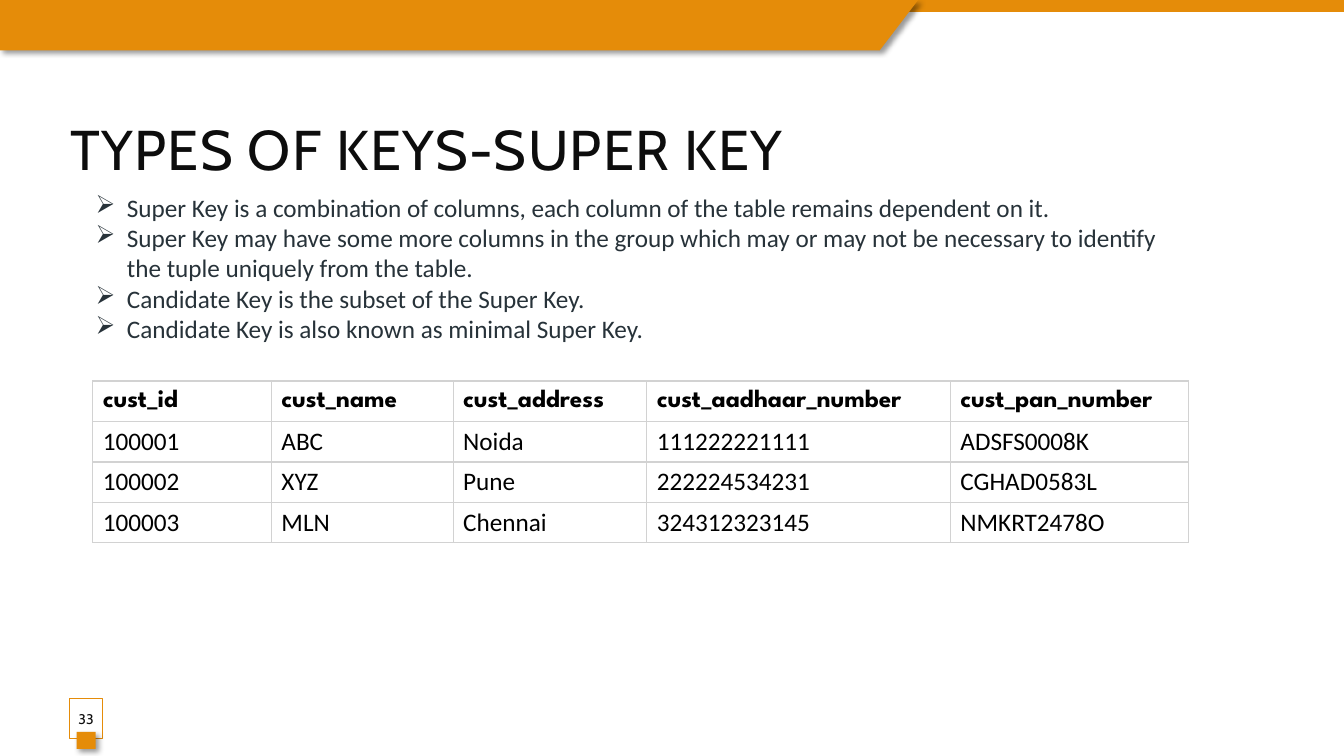
from pptx import Presentation
from pptx.dml.color import RGBColor
from pptx.enum.shapes import MSO_SHAPE as Preset
from pptx.enum.text import MSO_ANCHOR as Anchor, PP_ALIGN as Align
from pptx.oxml import parse_xml
from pptx.oxml.ns import nsdecls
from pptx.util import Cm, Pt

HEADING = "TYPES OF KEYS-SUPER KEY"
PAGE_NUMBER = "33"
POINTS = [
    "Super Key is a combination of columns, each column of the table remains dependent on it.",
    "Super Key may have some more columns in the group which may or may not be necessary to identify "
    "the tuple uniquely from the table.",
    "Candidate Key is the subset of the Super Key.",
    "Candidate Key is also known as minimal Super Key.",
]
CUSTOMERS = [
    ("cust_id", "cust_name", "cust_address", "cust_aadhaar_number", "cust_pan_number"),
    ("100001", "ABC", "Noida", "111222221111", "ADSFS0008K"),
    ("100002", "XYZ", "Pune", "222224534231", "CGHAD0583L"),
    ("100003", "MLN", "Chennai", "324312323145", "NMKRT2478O"),
]
COLUMN_WIDTHS = (4.5, 4.58, 4.88, 7.65, 6)
ROW_HEIGHT = 1.02
BANNER = [(0, 0), (23.14, 0), (22.17, 1.27), (0, 1.27)]

ORANGE = RGBColor(0xE5, 0x8C, 0x09)
WHITE = RGBColor(0xFF, 0xFF, 0xFF)
BLACK = RGBColor(0, 0, 0)
INK = RGBColor(0x0D, 0x0D, 0x0D)
SLATE = RGBColor(0x27, 0x32, 0x39)
GRID = RGBColor(0xD2, 0xD2, 0xD2)

HEADING_FONT = {"name": "Cabin", "size": Pt(40), "color": INK}
NUMBER_FONT = {"name": "Cabin", "size": Pt(10), "color": INK}
POINT_FONT = {"name": "Calibri", "size": Pt(18), "color": SLATE}
HEADER_FONT = {"name": "League Spartan", "size": Pt(18), "color": BLACK, "bold": True}
VALUE_FONT = {"name": "Calibri", "size": Pt(18), "color": BLACK, "bold": False}


def write(paragraph, text, font_format):
    run = paragraph.add_run()
    run.text = text
    for key, value in font_format.items():
        if key == "color":
            run.font.color.rgb = value
        else:
            setattr(run.font, key, value)
    return run


def paint(shape, color):
    shape.shadow.inherit = False
    shape.fill.solid()
    shape.fill.fore_color.rgb = color
    shape.line.fill.background()
    return shape


def cast_shadow(shape):
    shape.shadow.inherit = False
    shape._element.spPr.find("{*}effectLst").append(parse_xml(
        f'<a:outerShdw {nsdecls("a")} blurRad="{Pt(4)}" dist="{Pt(3)}" dir="2700000" '
        'algn="tl" rotWithShape="0"><a:srgbClr val="000000"><a:alpha val="40000"/>'
        '</a:srgbClr></a:outerShdw>'))


def add_bullet(paragraph):
    properties = paragraph._p.get_or_add_pPr()
    properties.set("marL", str(Cm(0.79)))
    properties.set("indent", str(-Cm(0.79)))
    properties.append(parse_xml(f'<a:buChar {nsdecls("a")} char="➢"/>'))


def add_borders(cell):
    properties = cell._tc.get_or_add_tcPr()
    for side in ("lnL", "lnR", "lnT", "lnB"):
        properties.append(parse_xml(
            f'<a:{side} {nsdecls("a")} w="{Pt(1)}"><a:solidFill>'
            f'<a:srgbClr val="{GRID}"/></a:solidFill></a:{side}>'))


def add_text_frame(shapes, left, top, width, height):
    frame = shapes.add_textbox(Cm(left), Cm(top), Cm(width), Cm(height)).text_frame
    frame.word_wrap = True
    return frame


def add_header_band(shapes):
    paint(shapes.add_shape(Preset.RECTANGLE, 0, 0, Cm(33.87), Cm(0.3)), ORANGE)
    corners = [(Cm(x), Cm(y)) for x, y in BANNER]
    outline = shapes.build_freeform(*corners[0])
    outline.add_line_segments(corners[1:], close=True)
    cast_shadow(paint(outline.convert_to_shape(), ORANGE))


def add_page_number(shapes):
    badge = paint(shapes.add_shape(Preset.RECTANGLE, Cm(1.75), Cm(17.6), Cm(0.84), Cm(1.02)), WHITE)
    badge.fill._xPr.find("{*}solidFill")[0].append(
        parse_xml(f'<a:alpha {nsdecls("a")} val="82000"/>'))
    badge.line.color.rgb = ORANGE
    badge.line.width = Pt(0.75)
    frame = badge.text_frame
    frame.margin_left = frame.margin_right = 0
    frame.vertical_anchor = Anchor.MIDDLE
    frame.paragraphs[0].alignment = Align.CENTER
    write(frame.paragraphs[0], PAGE_NUMBER, NUMBER_FONT)
    cast_shadow(paint(shapes.add_shape(Preset.RECTANGLE, Cm(1.93), Cm(18.44), Cm(0.48), Cm(0.43)), ORANGE))


def add_points(shapes):
    frame = add_text_frame(shapes, 2.16, 4.72, 27.99, 4.88)
    for index, point in enumerate(POINTS):
        paragraph = frame.add_paragraph() if index else frame.paragraphs[0]
        add_bullet(paragraph)
        write(paragraph, point, POINT_FONT)


def add_customers(shapes):
    table = shapes.add_table(
        len(CUSTOMERS), len(COLUMN_WIDTHS), Cm(2.34), Cm(9.6),
        Cm(sum(COLUMN_WIDTHS)), Cm(ROW_HEIGHT * len(CUSTOMERS))).table
    for column, width in zip(table.columns, COLUMN_WIDTHS):
        column.width = Cm(width)
    for row_index, (row, customer) in enumerate(zip(table.rows, CUSTOMERS)):
        row.height = Cm(ROW_HEIGHT)
        for cell, value in zip(row.cells, customer):
            add_borders(cell)
            cell.fill.solid()
            cell.fill.fore_color.rgb = WHITE
            cell.vertical_anchor = Anchor.MIDDLE
            write(cell.text_frame.paragraphs[0], value, VALUE_FONT if row_index else HEADER_FONT)


def main():
    deck = Presentation()
    deck.slide_width, deck.slide_height = Cm(33.87), Cm(19.05)
    shapes = deck.slides.add_slide(deck.slide_layouts[6]).shapes
    add_header_band(shapes)
    heading = add_text_frame(shapes, 1.52, 2.74, 30.02, 1.96)
    heading.vertical_anchor = Anchor.MIDDLE
    run = write(heading.paragraphs[0], HEADING, HEADING_FONT)
    run._r.get_or_add_rPr().set("spc", "100")
    add_page_number(shapes)
    add_points(shapes)
    add_customers(shapes)
    deck.save("out.pptx")


if __name__ == "__main__":
    main()
